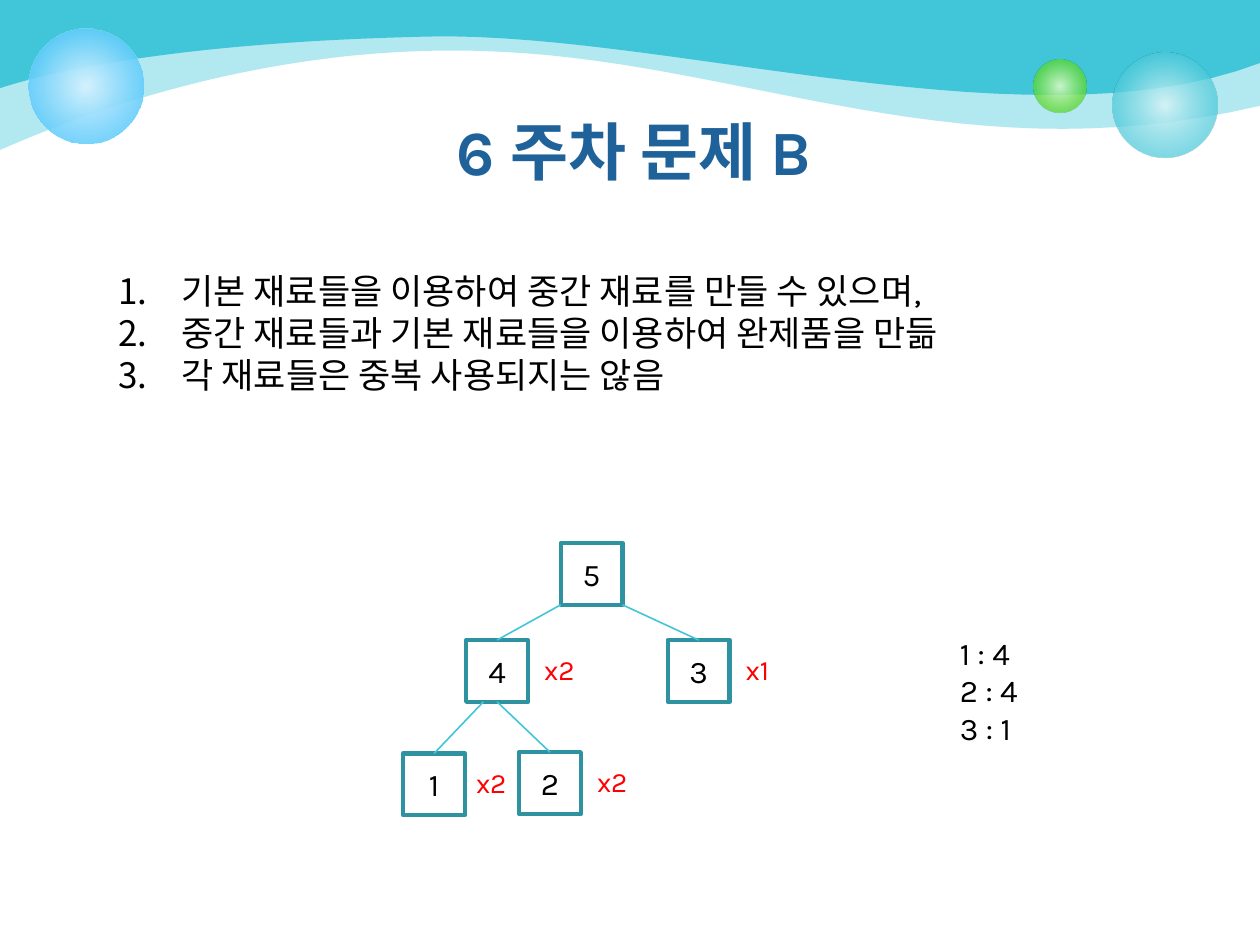
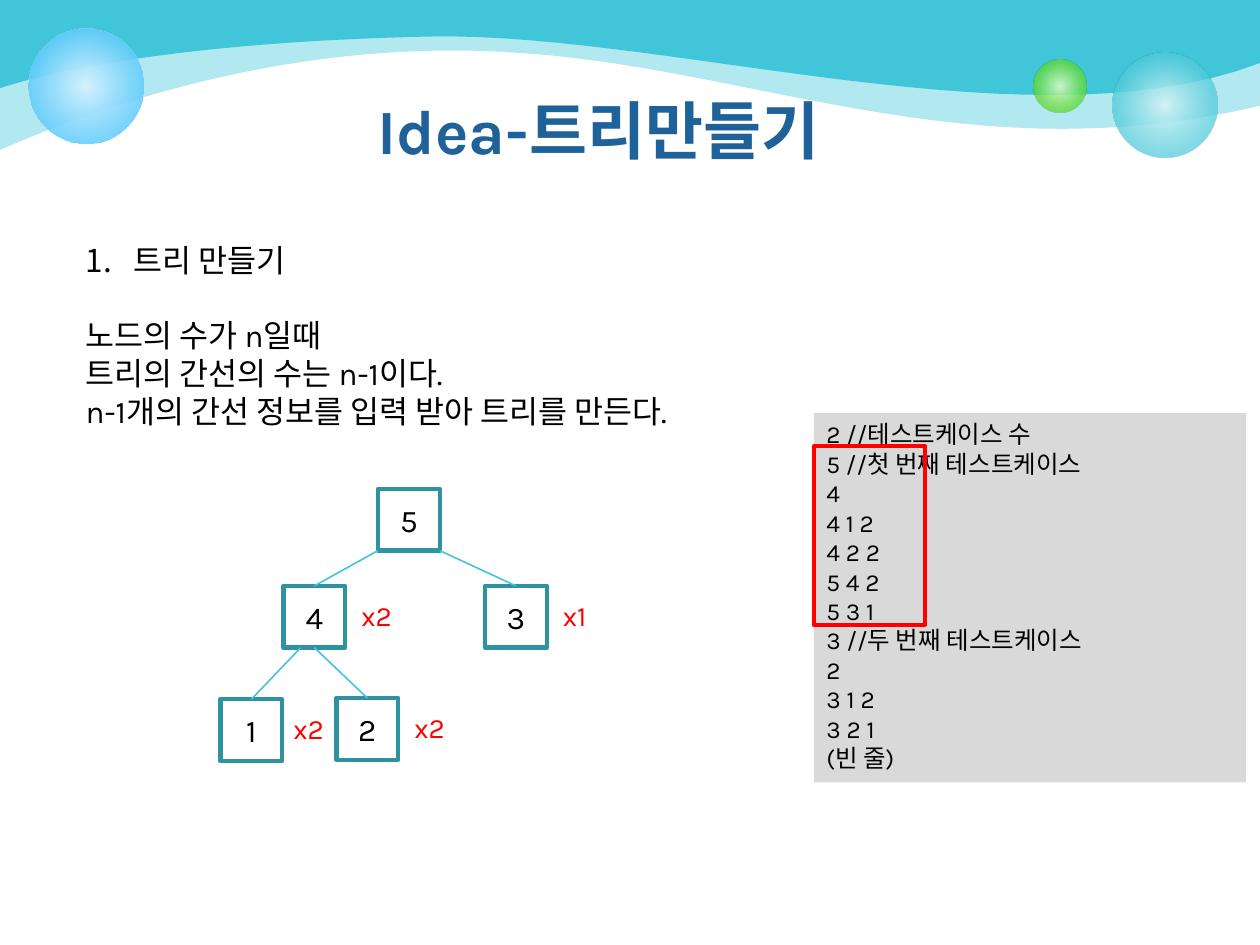
from dataclasses import dataclass

from pptx import Presentation
from pptx.dml.color import RGBColor
from pptx.enum.shapes import MSO_CONNECTOR, MSO_SHAPE
from pptx.enum.text import MSO_ANCHOR, MSO_AUTO_SIZE, PP_ALIGN
from pptx.oxml import parse_xml
from pptx.oxml.ns import nsdecls, qn
from pptx.util import Inches, Pt

RECTANGLE = MSO_SHAPE.RECTANGLE
OVAL = MSO_SHAPE.OVAL
STRAIGHT = MSO_CONNECTOR.STRAIGHT
TOP = MSO_ANCHOR.TOP
MIDDLE = MSO_ANCHOR.MIDDLE
LEFT = PP_ALIGN.LEFT
CENTER = PP_ALIGN.CENTER
NO_AUTOFIT = MSO_AUTO_SIZE.NONE

SLIDE_WIDTH = Inches(10)
SLIDE_HEIGHT = Inches(7.5)
COLUMN = SLIDE_WIDTH // 100
ROW = SLIDE_HEIGHT // 75
CURVE_STEPS = 30
NODE_SIZE = 4.9


@dataclass(frozen=True)
class Theme:
    font: str = "Karla"
    title: str = "1F6299"
    text: str = "000000"
    paper: str = "FFFFFF"
    wave: str = "40C6D8"
    node_line: str = "2F92A0"
    accent: str = "FF0000"
    code_fill: str = "D9D9D9"
    title_size: int = 36
    list_size: int = 20
    body_size: int = 18
    count_size: int = 16
    code_size: int = 14
    outline: float = 2.5
    branch: float = 0.9


@dataclass(frozen=True)
class TreeNode:
    value: str
    left: float
    top: float
    parent: str = ""
    branch_share: float = 0
    count: str = ""
    count_offset: float = 5.2


THEME = Theme()

TREE = [
    TreeNode("5", 12.5, 0),
    TreeNode("4", 5, 7.7, "5", 0, "x2"),
    TreeNode("3", 21, 7.7, "5", 1, "x1"),
    TreeNode("1", 0, 16.7, "4", 0.28, "x2", 4.8),
    TreeNode("2", 9.2, 16.6, "4", 0.5, "x2"),
]

PALE_WAVE = (
    (0, 11.9),
    [((3.3, 10.5), (19.7, 3.1), (39.6, 4.1)),
     ((59.5, 5), (76.2, 14), (100, 8.4))],
)
DEEP_WAVE = (
    (0, 7),
    [((4.5, 5.5), (15.3, 3.3), (34.1, 2.9)),
     ((52.9, 2.5), (82, 11.9), (100, 5))],
)

BUBBLES = [
    (88.3, 4.2, 8.3, [(0, "D9F4F7", 90), (76, "40C6D8", 70)]),
    (82, 4.7, 4.2, [(0, "DAFACD", 90), (76, "4CD416", 70)]),
    (2.3, 2.3, 9.1, [(0, "D6F2FE", 100), (100, "33BDFB", 80)]),
]

RULES = [
    "기본 재료들을 이용하여 중간 재료를 만들 수 있으며,",
    "중간 재료들과 기본 재료들을 이용하여 완제품을 만듦",
    "각 재료들은 중복 사용되지는 않음",
]
TOTALS = ["1 : 4", "2 : 4", "3 : 1"]
TREE_STEP = "트리 만들기"
TREE_FACTS = [
    "노드의 수가 n일때",
    "트리의 간선의 수는 n-1이다.",
    "n-1개의 간선 정보를 입력 받아 트리를 만든다.",
]
TEST_INPUT = [
    "2 //테스트케이스 수", "5 //첫 번째 테스트케이스", "4", "4 1 2", "4 2 2",
    "5 4 2", "5 3 1", "3 //두 번째 테스트케이스", "2", "3 1 2", "3 2 1", "(빈 줄)",
]


def color(value):
    return RGBColor.from_string(value)


def on_grid(left, top, width, height):
    return (round(left * COLUMN), round(top * ROW),
            round(width * COLUMN), round(height * ROW))


def write(shape, lines, size, font_color=THEME.text, bold=False,
          alignment=LEFT, anchor=TOP):
    frame = shape.text_frame
    frame.text = "\n".join(lines)
    frame.word_wrap = True
    frame.auto_size = NO_AUTOFIT
    frame.vertical_anchor = anchor
    for paragraph in frame.paragraphs:
        paragraph.alignment = alignment
        paragraph.space_before = Pt(0)
        for run in paragraph.runs:
            run.font.name = THEME.font
            run.font.size = Pt(size)
            run.font.bold = bold
            run.font.color.rgb = color(font_color)
    return frame.paragraphs


def fill_placeholder(placeholder, box, lines, size, **style):
    placeholder.left, placeholder.top, placeholder.width, placeholder.height = on_grid(*box)
    return write(placeholder, lines, size, **style)


def set_bullet(paragraph, indent=0.0):
    properties = paragraph._p.get_or_add_pPr()
    properties.set("marL", str(Inches(indent)))
    properties.set("indent", str(-Inches(indent)))
    if indent:
        properties.append(parse_xml(f'<a:buFontTx {nsdecls("a")}/>'))
        properties.append(parse_xml(f'<a:buAutoNum {nsdecls("a")} type="arabicPeriod"/>'))
    else:
        properties.append(parse_xml(f'<a:buNone {nsdecls("a")}/>'))


def paint(shape, fill=None, line=None):
    shape.shadow.inherit = False
    if fill:
        shape.fill.solid()
        shape.fill.fore_color.rgb = color(fill)
    else:
        shape.fill.background()
    if line:
        shape.line.color.rgb = color(line)
        shape.line.width = Pt(THEME.outline)
    else:
        shape.line.fill.background()


def add_box(slide, box, fill=None, line=None):
    shape = slide.shapes.add_shape(RECTANGLE, *on_grid(*box))
    paint(shape, fill, line)
    return shape


def add_label(slide, box, lines, size, font_color=THEME.text):
    label = slide.shapes.add_textbox(*on_grid(*box))
    write(label, lines, size, font_color)


def curve_points(start, curves):
    points = [start]
    for first, second, end in curves:
        for step in range(1, CURVE_STEPS + 1):
            t = step / CURVE_STEPS
            weights = ((1 - t) ** 3, 3 * t * (1 - t) ** 2, 3 * t * t * (1 - t), t ** 3)
            corners = (start, first, second, end)
            points.append(tuple(
                sum(weight * corner[axis] for weight, corner in zip(weights, corners))
                for axis in (0, 1)))
        start = end
    return points


def add_wave(slide, start, curves, opacity=100):
    builder = slide.shapes.build_freeform(0, 0)
    outline = curve_points(start, curves) + [(100, 0)]
    builder.add_line_segments([(round(x * COLUMN), round(y * ROW)) for x, y in outline])
    wave = builder.convert_to_shape()
    paint(wave, THEME.wave)
    solid_color = wave.element.spPr.find(qn("a:solidFill"))[0]
    solid_color.append(parse_xml(f'<a:alpha {nsdecls("a")} val="{opacity * 1000}"/>'))
    return wave


def add_bubble(slide, left, top, size, stops):
    bubble = slide.shapes.add_shape(OVAL, *on_grid(left, top, size, size))
    paint(bubble, THEME.wave)
    stop_list = "".join(
        f'<a:gs pos="{position * 1000}"><a:srgbClr val="{value}">'
        f'<a:alpha val="{opacity * 1000}"/></a:srgbClr></a:gs>'
        for position, value, opacity in stops)
    gradient = parse_xml(
        f'<a:gradFill {nsdecls("a")} rotWithShape="1"><a:gsLst>{stop_list}</a:gsLst>'
        '<a:path path="circle"><a:fillToRect l="50000" t="50000" r="50000" b="50000"/>'
        '</a:path></a:gradFill>')
    properties = bubble.element.spPr
    properties.replace(properties.find(qn("a:solidFill")), gradient)
    return bubble


def decorate_layout(layout, slide):
    decorations = [add_wave(slide, *PALE_WAVE, opacity=40), add_wave(slide, *DEEP_WAVE)]
    decorations += [add_bubble(slide, *bubble) for bubble in BUBBLES]
    for decoration in decorations:
        layout.shapes.element.append(decoration.element)


def add_branch(slide, start, end):
    x1, y1, x2, y2 = on_grid(*start, *end)
    branch = slide.shapes.add_connector(STRAIGHT, x1, y1, x2, y2)
    branch.line.color.rgb = color(THEME.wave)
    branch.line.width = Pt(THEME.branch)
    branch.element.spPr.append(parse_xml(f'<a:effectLst {nsdecls("a")}/>'))


def add_tree(slide, left, top):
    nodes = {node.value: node for node in TREE}
    for node in TREE:
        x, y = left + node.left, top + node.top
        square = add_box(slide, (x, y, NODE_SIZE, NODE_SIZE), THEME.paper, THEME.node_line)
        write(square, [node.value], THEME.body_size, alignment=CENTER, anchor=MIDDLE)
        if node.parent:
            parent = nodes[node.parent]
            start = (left + parent.left + NODE_SIZE * node.branch_share,
                     top + parent.top + NODE_SIZE)
            add_branch(slide, start, (x + NODE_SIZE / 2, y))
            add_label(slide, (x + node.count_offset, y + 0.5, 4.4, 3.7),
                      [node.count], THEME.count_size, THEME.accent)


def add_title(slide, left, top, text):
    fill_placeholder(slide.shapes.title, (left, top, 90, 12.5), [text], THEME.title_size,
                     font_color=THEME.title, bold=True, alignment=CENTER)


def build_problem(slide):
    add_title(slide, 5.3, 8.4, "6 주차 문제 B")
    rules = fill_placeholder(slide.placeholders[1], (8.4, 20.9, 85.1, 28.5),
                             RULES, THEME.list_size)
    for paragraph in rules:
        set_bullet(paragraph, 0.5)
    add_tree(slide, 32, 43.1)
    add_label(slide, (75.2, 49.8, 7.3, 10.1), TOTALS, THEME.body_size)


def build_idea(slide):
    add_title(slide, 2.5, 6.8, "Idea-트리만들기")
    step, *facts = fill_placeholder(slide.placeholders[1], (5.8, 18.6, 58.7, 19.2),
                                    [TREE_STEP, *TREE_FACTS], THEME.body_size)
    set_bullet(step, 0.38)
    facts[0].space_before = Pt(THEME.body_size * 1.2)
    for paragraph in facts:
        set_bullet(paragraph)
    code = add_box(slide, (64.6, 32.8, 34.3, 29.3), THEME.code_fill)
    write(code, TEST_INPUT, THEME.code_size)
    add_box(slide, (64.6, 35.4, 8.8, 14.2), line=THEME.accent)
    add_tree(slide, 17.5, 38.8)


def main():
    presentation = Presentation()
    presentation.slide_width = SLIDE_WIDTH
    presentation.slide_height = SLIDE_HEIGHT
    layout = presentation.slide_layouts[1]
    problem = presentation.slides.add_slide(layout)
    idea = presentation.slides.add_slide(layout)
    decorate_layout(layout, problem)
    build_problem(problem)
    build_idea(idea)
    presentation.save("out.pptx")


if __name__ == "__main__":
    main()
